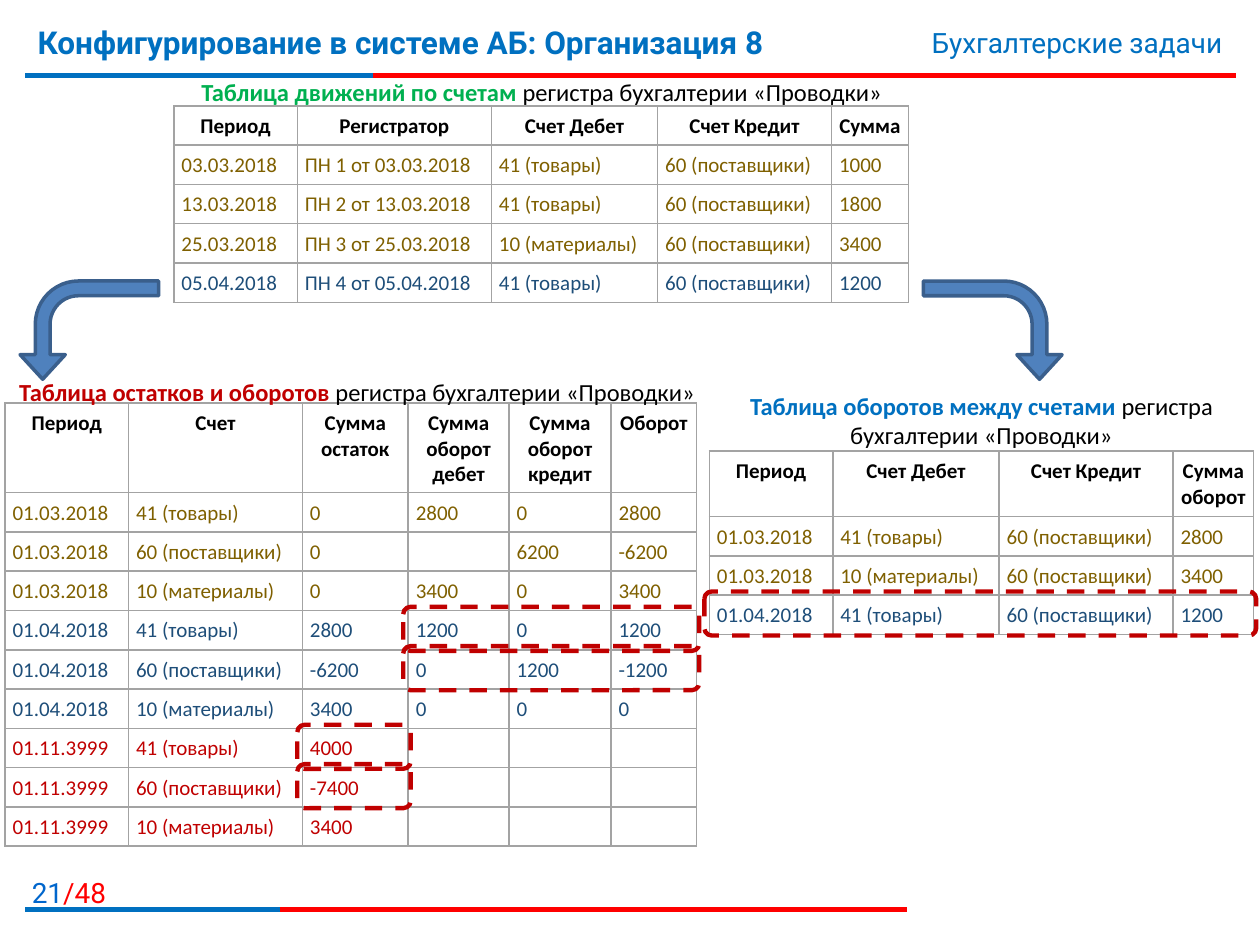
from dataclasses import dataclass
from pptx import Presentation
from pptx.dml.color import RGBColor as Rgb
from pptx.enum.dml import MSO_LINE as Dash
from pptx.enum.shapes import MSO_CONNECTOR as Link, MSO_SHAPE as Kind
from pptx.enum.text import PP_ALIGN as Align
from pptx.oxml import parse_xml
from pptx.oxml.ns import nsdecls, qn
from pptx.util import Inches, Pt


@dataclass(frozen=True)
class Theme:
    head: str = "Roboto"
    body: str = "Calibri"
    title: int = 18
    side: int = 16
    label: int = 14
    cell: int = 12
    blue: str = "0070C0"
    page: str = "0066CC"
    red: str = "FF0000"
    green: str = "00B050"
    dark: str = "C00000"
    black: str = "000000"
    grid: str = "A3A3A3"
    arrow: str = "4F81BD"
    edge: str = "3A5F8C"


T = Theme()
MONTH = {"03": "7F6000", "04": "1E4E79", "11": T.dark}
ROW = 1.56 / 5  # five rows of the movements table


def style(font, name, size, color=None, bold=False):
    font.name, font.size, font.bold = name, Pt(size), bold
    if color:
        font.color.rgb = Rgb.from_string(color)


def add_text(slide, box, runs, name, size, align=Align.LEFT):
    """Write one paragraph from (text, colour, bold) runs."""
    frame = slide.shapes.add_textbox(*map(Inches, box)).text_frame
    frame.word_wrap = True
    para = frame.paragraphs[0]
    para.alignment = align
    style(para.font, name, size)
    for text, color, bold in runs:
        run = para.add_run()
        run.text = text
        style(run.font, name, size, color, bold)


def add_rule(slide, left, top, width, part):
    """Red line whose first part is blue."""
    for size, color in ((width, T.red), (part, T.blue)):
        line = slide.shapes.add_connector(
            Link.STRAIGHT, Inches(left), Inches(top), Inches(left + size), Inches(top))
        line.line.color.rgb = Rgb.from_string(color)
        line.line.width = Pt(3)
        line._element.spPr.append(parse_xml(f"<a:effectLst {nsdecls('a')}/>"))


def add_header(slide, left, top, width):
    add_rule(slide, left, top + 0.47, width, 2.76)
    add_text(slide, (left, top, 7.4, 0.62),
             [("Конфигурирование в системе АБ: Организация 8", T.blue, True)],
             T.head, T.title)
    add_text(slide, (left + width - 3.87, top + 0.02, 3.86, 0.37),
             [("Бухгалтерские задачи", T.blue, False)], T.head, T.side, Align.RIGHT)


def add_footer(slide, left, top, width):
    add_text(slide, (left - 0.15, top, 0.89, 0.32),
             [("21", T.page, False), ("/48", T.red, False)],
             T.head, T.side, Align.RIGHT)
    add_rule(slide, left, top + 0.32, width, 2.02)


def add_label(slide, box, name, color):
    add_text(slide, box, [(name, color, True),
                          (" регистра бухгалтерии «Проводки»", T.black, False)],
             T.body, T.label, Align.CENTER)


def set_cell(cell, text, color, head):
    cell.margin_left = cell.margin_right = cell.margin_top = Inches(0.06)
    cell.margin_bottom = Inches(0.04)  # lets the text fit the row height
    cell.fill.background()
    for i, side in enumerate("LRTB"):
        cell._tc.get_or_add_tcPr().insert(i, parse_xml(
            f'<a:ln{side} {nsdecls("a")} w="12700"><a:solidFill>'
            f'<a:srgbClr val="{T.grid}"/></a:solidFill></a:ln{side}>'))
    cell.text = text
    para = cell.text_frame.paragraphs[0]
    para.alignment = Align.CENTER if head else Align.LEFT
    style(para.font, T.body, T.cell, color, head)


def add_grid(slide, left, top, cols, tall, rows, marks=()):
    """Table coloured by month; marks are (row, first column, last column)."""
    size = sum(cols), tall + ROW * (len(rows) - 1)
    table = slide.shapes.add_table(
        len(rows), len(cols), *map(Inches, (left, top, *size))).table
    table.first_row = table.horz_banding = False
    for col, width in zip(table.columns, cols):
        col.width = Inches(width)
    for i, row in enumerate(rows):
        table.rows[i].height = Inches(ROW if i else tall)
        color = MONTH[row[0][3:5]] if i else T.black
        for j, text in enumerate(row):
            set_cell(table.cell(i, j), text, color, i == 0)
    for row, first, last in marks:
        add_mark(slide, left + sum(cols[:first]), top + tall + ROW * (row - 1),
                 sum(cols[first:last + 1]))


def add_mark(slide, left, top, width):
    """Dashed frame around cells."""
    mark = slide.shapes.add_shape(
        Kind.ROUNDED_RECTANGLE,
        *map(Inches, (left - 0.04, top - 0.03, width + 0.06, 0.35)))
    mark.shadow.inherit = False
    mark.fill.background()
    mark.line.color.rgb = Rgb.from_string(T.dark)
    mark.line.width = Pt(2.5)
    mark.line.dash_style = Dash.DASH


def add_arrow(slide, left, top, flips):
    """Bent arrow that ends pointing down."""
    arrow = slide.shapes.add_shape(
        Kind.BENT_ARROW, *map(Inches, (left, top, 0.78, 1.1)))
    arrow.shadow.inherit = False
    for i, value in enumerate((0.15, 0.23, 0.25, 0.44)):
        arrow.adjustments[i] = value
    arrow.rotation = 270
    for flip in flips:
        arrow._element.spPr.find(qn("a:xfrm")).set(flip, "1")
    arrow.fill.solid()
    arrow.fill.fore_color.rgb = Rgb.from_string(T.arrow)
    arrow.line.color.rgb = Rgb.from_string(T.edge)
    arrow.line.width = Pt(2)


GOODS, PARTS, DEBT = "41 (товары)", "10 (материалы)", "60 (поставщики)"
MAR, APR, END = "01.03.2018", "01.04.2018", "01.11.3999"

MOVES = [("Период", "Регистратор", "Счет Дебет", "Счет Кредит", "Сумма")] + [
    (day, f"ПН {i} от {day}", debit, DEBT, total)
    for i, (day, debit, total) in enumerate([
        ("03.03.2018", GOODS, "1000"), ("13.03.2018", GOODS, "1800"),
        ("25.03.2018", PARTS, "3400"), ("05.04.2018", GOODS, "1200")], 1)]

RESTS = [
    ("Период", "Счет", "Сумма остаток", "Сумма оборот дебет",
     "Сумма оборот кредит", "Оборот"),
    (MAR, GOODS, "0", "2800", "0", "2800"),
    (MAR, DEBT, "0", "", "6200", "-6200"),
    (MAR, PARTS, "0", "3400", "0", "3400"),
    (APR, GOODS, "2800", "1200", "0", "1200"),
    (APR, DEBT, "-6200", "0", "1200", "-1200"),
    (APR, PARTS, "3400", "0", "0", "0"),
    (END, GOODS, "4000", "", "", ""),
    (END, DEBT, "-7400", "", "", ""),
    (END, PARTS, "3400", "", "", ""),
]

TURNS = [
    ("Период", "Счет Дебет", "Счет Кредит", "Сумма оборот"),
    (MAR, GOODS, DEBT, "2800"),
    (MAR, PARTS, DEBT, "3400"),
    (APR, GOODS, DEBT, "1200"),
]


def main():
    deck = Presentation()
    deck.slide_width, deck.slide_height = Inches(10), Inches(7.5)
    slide = deck.slides.add_slide(deck.slide_layouts[6])

    # Header and footer
    add_header(slide, 0.2, 0.13, 9.61)
    add_footer(slide, 0.2, 6.9, 7)

    # Turnovers between accounts
    add_grid(slide, 5.63, 3.58, (0.98, 1.32, 1.38, 0.64), 0.52, TURNS, [(3, 0, 3)])
    add_label(slide, (5.63, 3.05, 4.32, 0.58), "Таблица оборотов между счетами", T.blue)

    # Balances and turnovers
    add_grid(slide, 0.04, 3.2, (0.98, 1.38, 0.84, 0.8, 0.81, 0.68), 0.71, RESTS,
             [(4, 3, 5), (5, 3, 5), (7, 2, 2), (8, 2, 2)])
    add_label(slide, (0.04, 2.94, 5.59, 0.34), "Таблица остатков и оборотов", T.dark)

    # Account movements
    add_grid(slide, 1.38, 0.84, (0.98, 1.54, 1.32, 1.38, 0.61), ROW, MOVES)
    add_label(slide, (1.39, 0.56, 5.82, 0.34), "Таблица движений по счетам", T.green)

    # Arrows from movements to the derived tables
    add_arrow(slide, 0.32, 2.07, ("flipH",))
    add_arrow(slide, 7.49, 2.07, ("flipH", "flipV"))

    deck.save("out.pptx")


if __name__ == "__main__":
    main()
